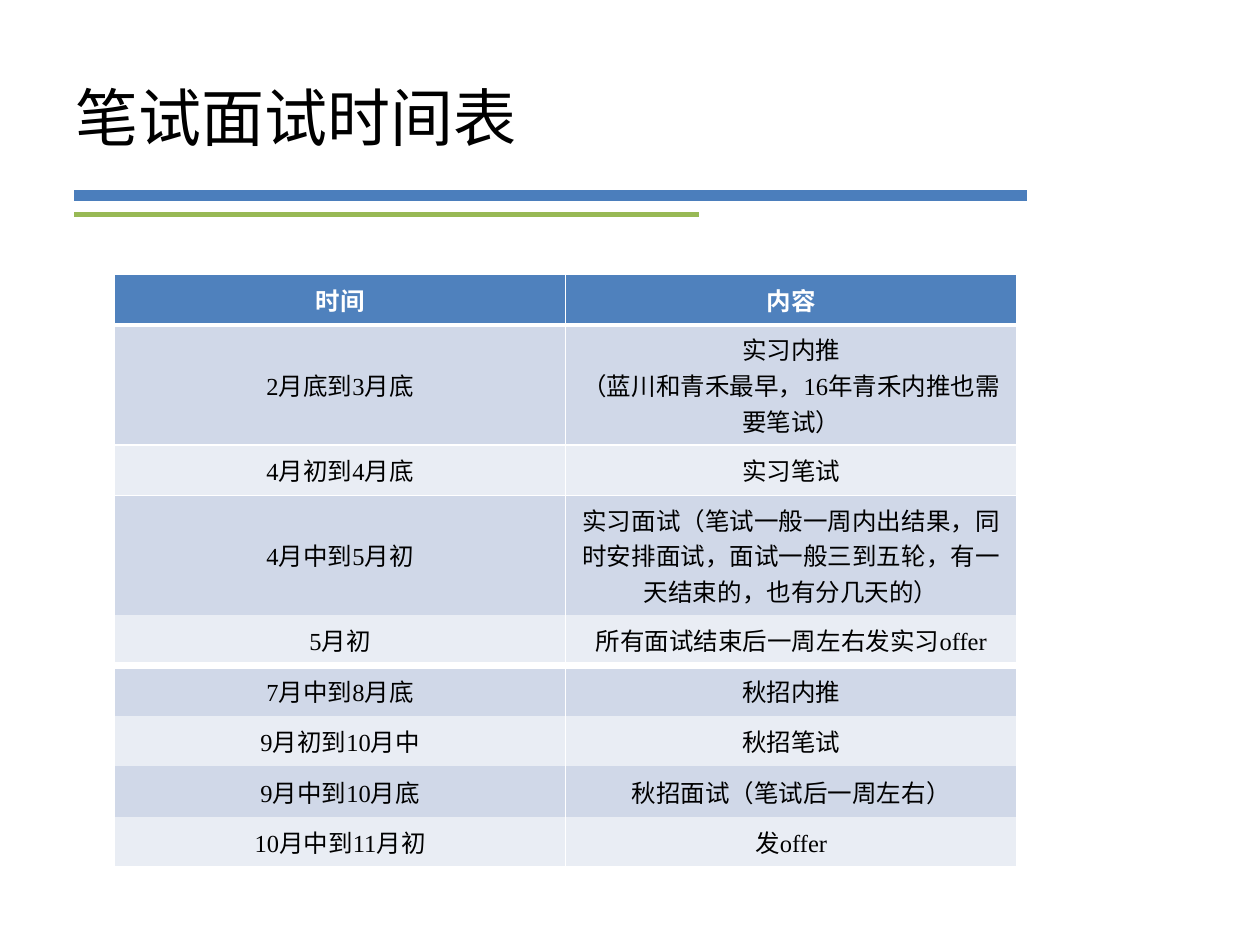
"""Build a slide with the timetable of written tests and interviews."""
from lxml import etree
from pptx import Presentation
from pptx import util as u
from pptx.dml import color
from pptx.enum import shapes, text
from pptx.oxml import ns

CJK, LATIN = "Noto Sans CJK SC", "Times New Roman"


def paint(target, value):
    target.solid()
    target.fore_color.rgb = color.RGBColor.from_string(value)


def style(para, size, font, value, bold=False):
    for span in para.runs:
        span.font.size, span.font.name, span.font.bold = u.Pt(size), font, bold
        paint(span.font.fill, value)
        etree.SubElement(span.font._element, ns.qn("a:ea")).set("typeface", CJK)


deck = Presentation()
deck.slide_width, deck.slide_height = u.Inches(10), u.Inches(7.5)
page = deck.slides.add_slide(deck.slide_layouts[5])

title = page.shapes.title
title.left, title.top, title.width, title.height = map(u.Inches, (0.5, 0.3, 9, 1.25))
title.text_frame.text = "笔试面试时间表"
title.text_frame.vertical_anchor = text.MSO_ANCHOR.MIDDLE
title.text_frame.paragraphs[0].alignment = text.PP_ALIGN.LEFT
style(title.text_frame.paragraphs[0], 36, CJK, "000000")

for right, top, value, weight in ((8.15, 1.55, "4B7EBC", 6), (5.55, 1.7, "98B955", 3)):
    rule = page.shapes.add_connector(
        shapes.MSO_CONNECTOR.STRAIGHT, *map(u.Inches, (0.59, top, right, top)))
    rule.line.width = u.Pt(weight)
    paint(rule.line.fill, value)
    etree.SubElement(rule._element.spPr, ns.qn("a:effectLst"))

schedule = [
    ("时间", "内容", 3),
    ("2月底到3月底", "实习内推\n（蓝川和青禾最早，16年青禾内推也需要笔试）", 1),
    ("4月初到4月底", "实习笔试", 1),
    ("4月中到5月初", "实习面试（笔试一般一周内出结果，同时安排面试，面试一般三到五轮，有一天结束的，也有分几天的）", 0),
    ("5月初", "所有面试结束后一周左右发实习offer", 4.5),
    ("7月中到8月底", "秋招内推", 0),
    ("9月初到10月中", "秋招笔试", 0),
    ("9月中到10月底", "秋招面试（笔试后一周左右）", 0),
    ("10月中到11月初", "发offer", 1),
]
table = page.shapes.add_table(
    len(schedule), 2, *map(u.Inches, (0.91, 2.18, 7.16, 0.41 * len(schedule)))).table

above = 1
for row, (period, content, below) in enumerate(schedule):
    table.rows[row].height = u.Inches(0.95 if len(content) > 20 else 0.4)
    header = row == 0
    band = "4F81BD" if header else ("E9EDF4", "D0D8E8")[row % 2]
    for column, wording in enumerate((period, content)):
        cell = table.cell(row, column)
        cell.text_frame.text = wording
        cell.vertical_anchor = text.MSO_ANCHOR.MIDDLE
        paint(cell.fill, band)
        for para in cell.text_frame.paragraphs:
            para.alignment = text.PP_ALIGN.CENTER
            style(para, 14, LATIN, "FFFFFF" if header else "000000", header)
        borders = (("lnL", 1), ("lnR", 1), ("lnT", above), ("lnB", below))
        for place, (side, weight) in enumerate(borders):
            edge = etree.Element(ns.qn("a:" + side), w=str(u.Pt(weight)))
            if weight:
                ink = etree.SubElement(edge, ns.qn("a:solidFill"))
                etree.SubElement(ink, ns.qn("a:srgbClr"), val="FFFFFF")
            else:
                etree.SubElement(edge, ns.qn("a:noFill"))
            cell._tc.tcPr.insert(place, edge)
    above = below

deck.save("out.pptx")
